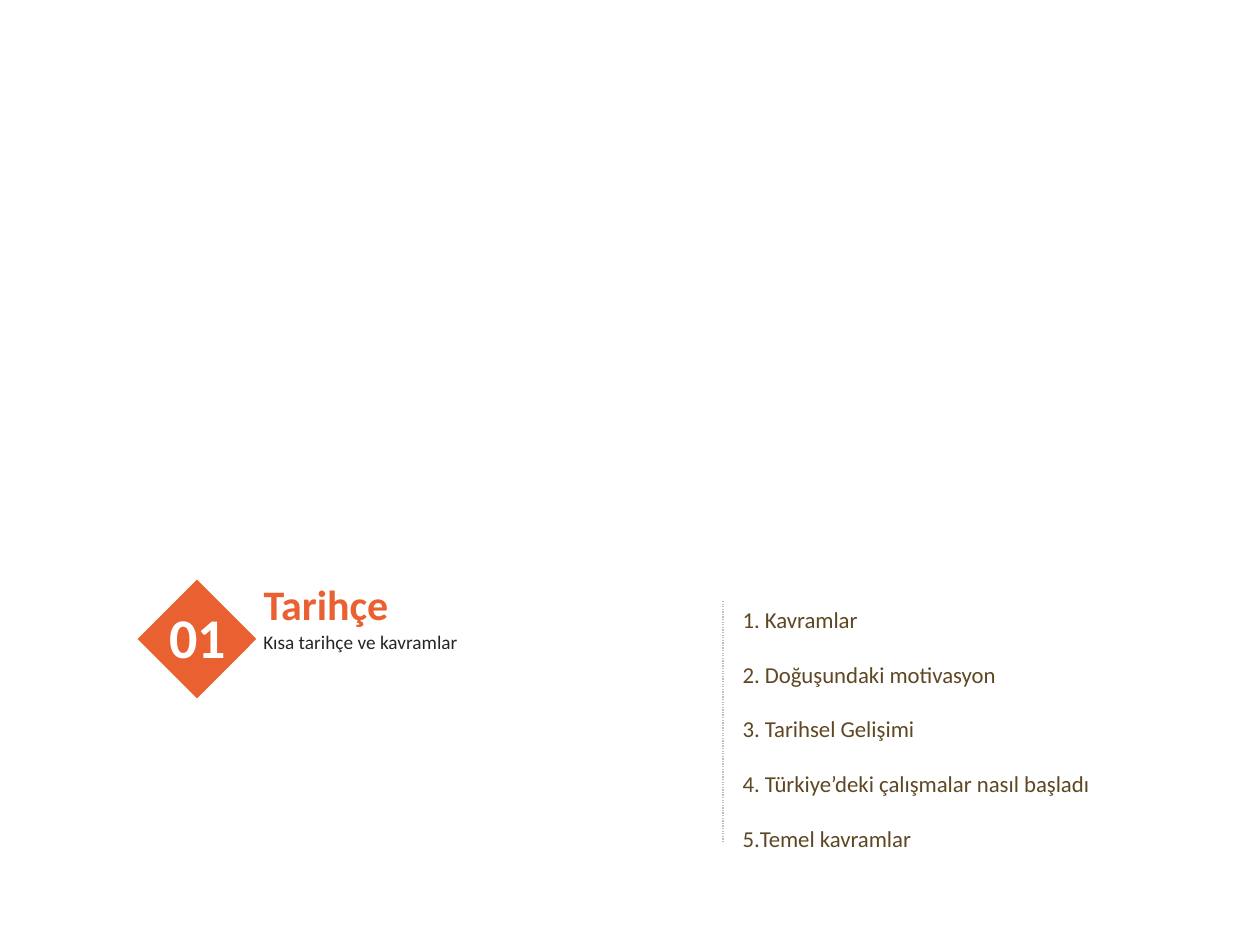
import pptx
import pptx.dml.color
import pptx.enum.dml
import pptx.enum.shapes
import pptx.enum.text
import pptx.oxml.ns
import pptx.util
from lxml import etree

SCALE = 914400 / 126
ORANGE = "EA6131"
TOPICS = [
    " Kavramlar",
    " Doğuşundaki motivasyon",
    " Tarihsel Gelişimi",
    " Türkiye’deki çalışmalar nasıl başladı",
    "Temel kavramlar",
]


def px(length):
    return pptx.util.Emu(round(length * SCALE))


def color(value):
    return pptx.dml.color.RGBColor.from_string(value)


def add_xml(parent, tag, **attributes):
    return etree.SubElement(parent, pptx.oxml.ns.qn(tag), attributes)


def set_values(target, values):
    for name, value in values.items():
        setattr(target, name, value)


class SectionSlide:
    font_name = "Calibri"

    def __init__(self, presentation):
        self.slide = presentation.slides.add_slide(presentation.slide_layouts[1])

    def place(self, shape, box):
        set_values(shape, dict(zip(("left", "top", "width", "height"), map(px, box))))

    def fill_text(self, shape, lines, size, hex_color, bold=False, wrap=True, spacing=1.0, numbered=False):
        frame = shape.text_frame
        set_values(frame, {
            "text": "\n".join(lines),
            "word_wrap": wrap,
            "auto_size": pptx.enum.text.MSO_AUTO_SIZE.NONE,
            "vertical_anchor": pptx.enum.text.MSO_ANCHOR.TOP,
        })
        for paragraph in frame.paragraphs:
            set_values(paragraph, {
                "alignment": pptx.enum.text.PP_ALIGN.LEFT,
                "line_spacing": spacing,
                "space_before": pptx.util.Pt(0),
            })
            if numbered:
                properties = paragraph._p.get_or_add_pPr()
                properties.set("marL", "0")
                properties.set("indent", str(-pptx.util.Inches(0.25)))
                add_xml(properties, "a:buFont", typeface="+mj-lt")
                add_xml(properties, "a:buAutoNum", type="arabicPeriod")
            for run in paragraph.runs:
                set_values(run.font, {"name": self.font_name, "size": pptx.util.Pt(size), "bold": bold})
                run.font.color.rgb = color(hex_color)

    def title(self, box, text, **style):
        shape = self.slide.shapes.title
        self.place(shape, box)
        self.fill_text(shape, [text], **style)

    def numbered_list(self, box, lines, **style):
        shape = self.slide.placeholders[1]
        self.place(shape, box)
        self.fill_text(shape, lines, numbered=True, **style)

    def text(self, box, text, **style):
        shape = self.slide.shapes.add_textbox(*map(px, box))
        self.fill_text(shape, [text], **style)

    def diamond(self, box, hex_color):
        shape = self.slide.shapes.add_shape(pptx.enum.shapes.MSO_SHAPE.RECTANGLE, *map(px, box))
        shape.rotation = 45
        shape.shadow.inherit = False
        shape.fill.solid()
        shape.fill.fore_color.rgb = color(hex_color)
        shape.line.fill.background()

    def dotted_line(self, ends, hex_color, width):
        line = self.slide.shapes.add_connector(pptx.enum.shapes.MSO_CONNECTOR.STRAIGHT, *map(px, ends))
        line.line.color.rgb = color(hex_color)
        set_values(line.line, {
            "width": pptx.util.Pt(width),
            "dash_style": pptx.enum.dml.MSO_LINE.ROUND_DOT,
        })
        add_xml(line._element.spPr, "a:effectLst")


def main():
    presentation = pptx.Presentation()
    set_values(presentation, {"slide_width": px(1260), "slide_height": px(945)})
    section = SectionSlide(presentation)
    section.numbered_list((730, 572, 413, 281), TOPICS, size=13, hex_color="5E4722", spacing=2.0)
    section.diamond((155, 597, 84, 84), ORANGE)
    section.title((251, 572, 396, 63), "Tarihçe", size=24, hex_color=ORANGE, bold=True)
    section.text((157, 596, 83, 81), "01", size=32, hex_color="FFFFFF", bold=True, wrap=False)
    section.text((251, 626, 373, 34), "Kısa tarihçe ve kavramlar", size=11,
                 hex_color="262626", spacing=pptx.util.Pt(12))
    section.dotted_line((723, 601, 723, 843), "BFBFBF", 0.75)
    presentation.save("out.pptx")


if __name__ == "__main__":
    main()
